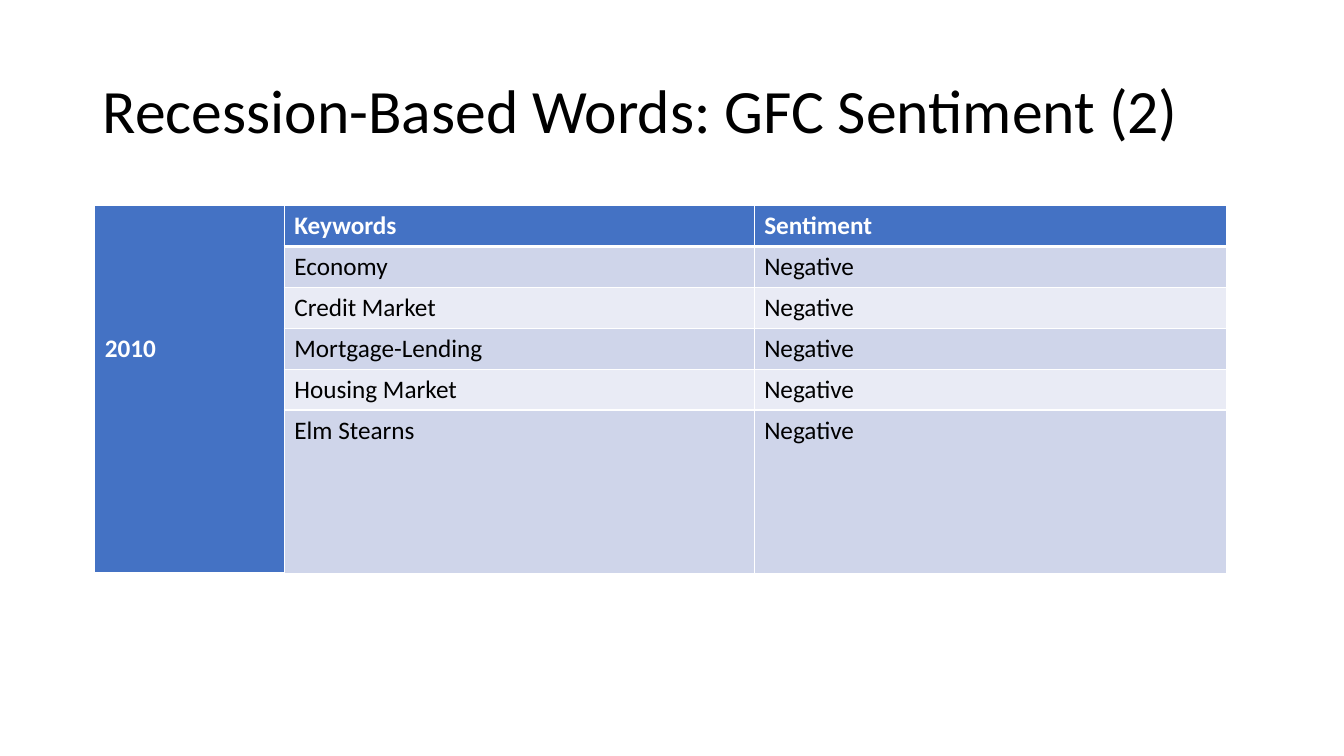
import pptx
import pptx.dml.color
import pptx.enum.text
import pptx.oxml.ns
import pptx.util
from lxml import etree

RGBColor = pptx.dml.color.RGBColor
Inches, Pt = pptx.util.Inches, pptx.util.Pt
BLACK = RGBColor(0x00, 0x00, 0x00)
WHITE = RGBColor(0xFF, 0xFF, 0xFF)
HEADER_BLUE = RGBColor(0x44, 0x72, 0xC4)
BANDS = [RGBColor(0xCF, 0xD5, 0xEA), RGBColor(0xE9, 0xEB, 0xF5)]

FONT = "Calibri"
SLIDE_W, SLIDE_H = 13.33, 7.5
COLUMNS = [1.88, 4.66, 4.69]
ROW_H, LAST_ROW_H = 0.405, 1.62
YEAR_DROP = 1.27
YEAR = "2010"
ROWS = [
    ("Keywords", "Sentiment"),
    ("Economy", "Negative"),
    ("Credit Market", "Negative"),
    ("Mortgage-Lending", "Negative"),
    ("Housing Market", "Negative"),
    ("Elm Stearns", "Negative"),
]


def set_all(obj, **values):
    for name, value in values.items():
        setattr(obj, name, value)


def write(tf, text, color, **font):
    p = tf.paragraphs[0]
    r = p.add_run()
    r.text = text
    set_all(r.font, name=FONT, **font)
    r.font.color.rgb = color
    return p


def add_title(s, text):
    sp = s.shapes.title
    set_all(sp, left=Inches(0.92), top=Inches(0.4),
            width=Inches(11.5), height=Inches(1.45))
    set_all(sp.text_frame, word_wrap=True,
            auto_size=pptx.enum.text.MSO_AUTO_SIZE.NONE,
            vertical_anchor=pptx.enum.text.MSO_ANCHOR.MIDDLE)
    p = write(sp.text_frame, text, BLACK, size=Pt(44))
    set_all(p, alignment=pptx.enum.text.PP_ALIGN.LEFT, line_spacing=0.9)


def add_borders(cell, **widths):
    """Draw white cell edges; keys are L, R, T and B, values are points."""
    tcPr = cell._tc.get_or_add_tcPr()
    qn = pptx.oxml.ns.qn
    for side, width in widths.items():
        ln = etree.SubElement(tcPr, qn(f"a:ln{side}"), w=str(Pt(width)))
        fill = etree.SubElement(ln, qn("a:solidFill"))
        etree.SubElement(fill, qn("a:srgbClr"), val=str(WHITE))


def style_cell(cell, row, col):
    add_borders(cell, L=1, R=1, T=3 if row == 1 and col else 1,
                B=3 if row == 0 else 1)
    cell.fill.solid()
    is_header = row == 0 or col == 0
    cell.fill.fore_color.rgb = HEADER_BLUE if is_header else BANDS[(row - 1) % 2]


def add_keyword_table(s):
    heights = [ROW_H] * (len(ROWS) - 1) + [LAST_ROW_H]
    table = s.shapes.add_table(
        len(ROWS), len(COLUMNS), Inches(0.94), Inches(2.04),
        Inches(sum(COLUMNS)), Inches(sum(heights))).table
    for column, width in zip(table.columns, COLUMNS):
        column.width = Inches(width)
    for i, (row, height) in enumerate(zip(table.rows, heights)):
        row.height = Inches(height)
        for j, cell in enumerate(row.cells):
            style_cell(cell, i, j)
            if j:
                write(cell.text_frame, ROWS[i][j - 1],
                      BLACK if i else WHITE, size=Pt(18), bold=i == 0)
    year = table.cell(0, 0)
    year.merge(table.cell(len(ROWS) - 1, 0))
    year.margin_top = Inches(YEAR_DROP)
    write(year.text_frame, YEAR, WHITE, size=Pt(18), bold=True)


def main():
    prs = pptx.Presentation()
    set_all(prs, slide_width=Inches(SLIDE_W), slide_height=Inches(SLIDE_H))
    s = prs.slides.add_slide(prs.slide_layouts[5])
    add_title(s, "Recession-Based Words: GFC Sentiment (2)")
    add_keyword_table(s)
    prs.save("out.pptx")


if __name__ == "__main__":
    main()
